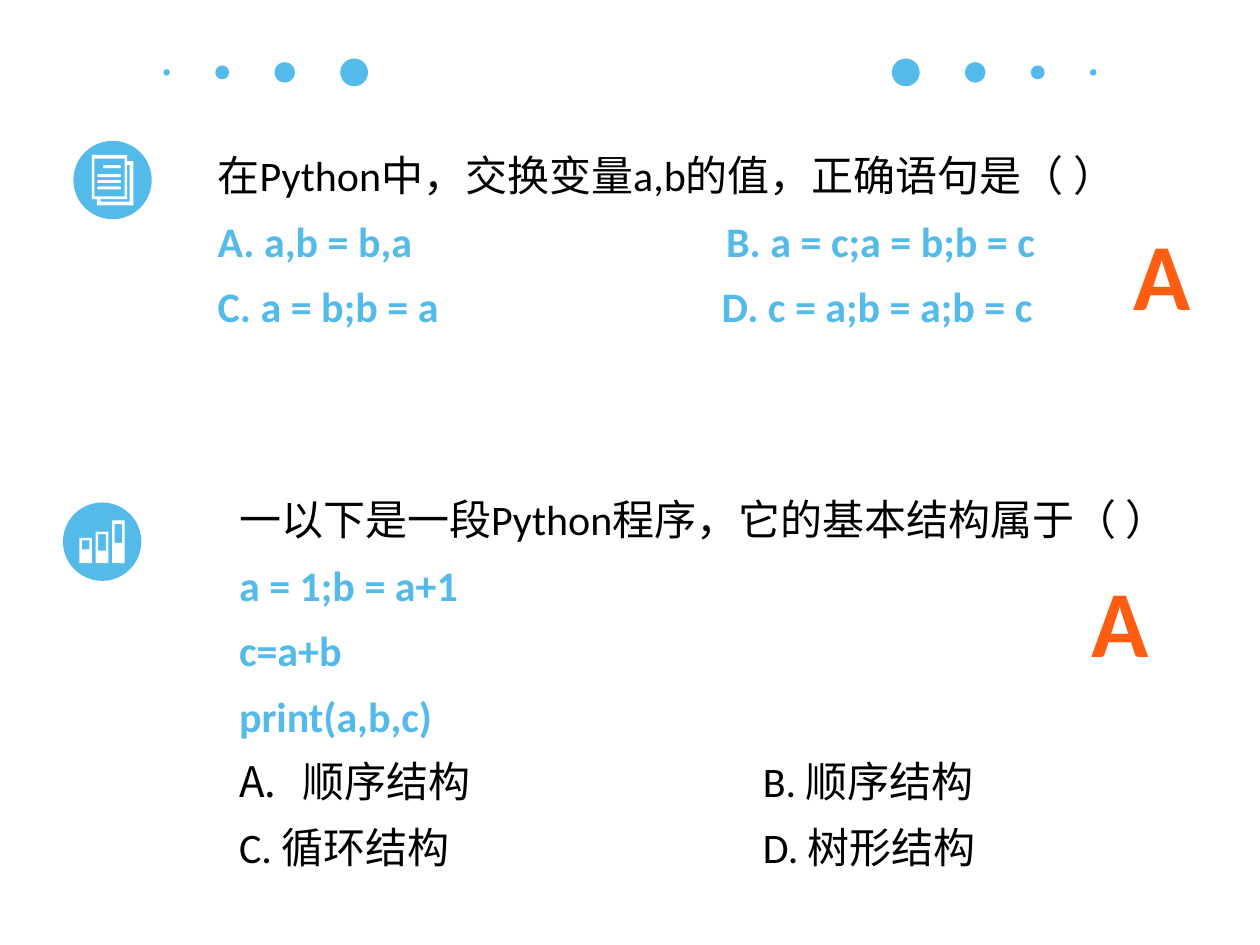
from pptx import Presentation
from pptx import util as u
from pptx.dml.color import RGBColor
from pptx.enum import shapes, text
from pptx.oxml.ns import qn
from lxml import etree

BLUE = RGBColor(0x53, 0xBA, 0xE9)
WHITE = RGBColor(0xFF, 0xFF, 0xFF)
BLACK = RGBColor(0, 0, 0)
ORANGE = RGBColor(0xFF, 0x5D, 0x12)

deck = Presentation()
deck.slide_width = u.Cm(25.4)
deck.slide_height = u.Cm(19.05)
page = deck.slides.add_slide(deck.slide_layouts[6])


def paint(shape, color):
    shape.shadow.inherit = False
    shape.fill.solid()
    shape.fill.fore_color.rgb = color
    shape.line.fill.background()


def add_box(left, top, width, height):
    box = page.shapes.add_textbox(u.Cm(left), u.Cm(top), u.Cm(width), u.Cm(height))
    box.text_frame.word_wrap = True
    return box.text_frame


circles = [(2.06, 10.92, 1.58), (2.27, 3.63, 1.58)]
for offset, diameter in ((5.56, 0.56), (6.96, 0.41), (8.22, 0.28), (9.34, 0.13)):
    circles += [(12.7 + side * offset, 1.46, diameter) for side in (-1, 1)]
for center_x, center_y, diameter in circles:
    circle = page.shapes.add_shape(
        shapes.MSO_SHAPE.OVAL, u.Cm(center_x - diameter / 2), u.Cm(center_y - diameter / 2),
        u.Cm(diameter), u.Cm(diameter))
    paint(circle, BLUE)

icon_outlines = [
    [[(73, 123), (101, 123), (101, 128), (106, 128), (106, 163), (77, 163), (77, 158), (73, 158)],
     [(75, 126), (75, 156), (99, 156), (99, 126)],
     [(101, 131), (101, 158), (80, 158), (80, 160), (103, 160), (103, 131)]]]
for left, top, hole_top, hole_bottom in ((63, 427, 429, 436), (76, 422, 424, 437), (89, 413, 416, 431)):
    icon_outlines.append([
        [(left, top), (left + 10, top), (left + 10, 447), (left, 447)],
        [(left + 2, hole_top), (left + 2, hole_bottom), (left + 8, hole_bottom), (left + 8, hole_top)]])
for contours in icon_outlines:
    builder = page.shapes.build_freeform(*contours[0][0], scale=u.Cm(0.0254))
    builder.add_line_segments(contours[0][1:], close=True)
    for hole in contours[1:]:
        builder.move_to(*hole[0])
        builder.add_line_segments(hole[1:], close=True)
    paint(builder.convert_to_shape(), WHITE)

for left, top, width in ((2.08, 3.33, 0.36), (1.96, 3.51, 0.48), (1.96, 3.63, 0.48), (1.96, 3.76, 0.48)):
    bar = page.shapes.add_shape(
        shapes.MSO_SHAPE.ROUNDED_RECTANGLE, u.Cm(left), u.Cm(top), u.Cm(width), u.Cm(0.06))
    bar.adjustments[0] = 0.5
    paint(bar, WHITE)

questions = [
    (4.14, 2.59, 18.97, 4.27, [
        ("在Python中，交换变量a,b的值，正确语句是（ ）", BLACK, None, False),
        ("A. a,b = b,a\tB. a = c;a = b;b = c", BLUE, 10.25, False),
        ("C. a = b;b = a\tD. c = a;b = a;b = c", BLUE, 10.16, False)]),
    (4.57, 9.53, 19.4, 8.26, [
        ("一以下是一段Python程序，它的基本结构属于（ ）", BLACK, None, False),
        ("a = 1;b = a+1", BLUE, None, False),
        ("c=a+b", BLUE, None, False),
        ("print(a,b,c)", BLUE, None, False),
        ("顺序结构\tB. 顺序结构", BLACK, 10.56, True),
        ("C. 循环结构\tD. 树形结构", BLACK, 10.56, False)]),
]
for left, top, width, height, lines in questions:
    frame = add_box(left, top, width, height)
    for index, (line, color, tab, numbered) in enumerate(lines):
        para = frame.paragraphs[0] if index == 0 else frame.add_paragraph()
        para.text = line
        para.line_spacing = 1.3
        properties = para._p.get_or_add_pPr()
        if numbered:
            properties.set("marL", str(u.Cm(1.27)))
            properties.set("indent", str(u.Cm(-1.27)))
            etree.SubElement(properties, qn("a:buFont"), typeface="+mj-lt")
            etree.SubElement(properties, qn("a:buAutoNum"), type="alphaUcPeriod")
        if tab:
            stops = etree.SubElement(properties, qn("a:tabLst"))
            etree.SubElement(stops, qn("a:tab"), pos=str(u.Cm(tab)), algn="l")
        para.font.name = "Calibri"
        para.font.size = u.Pt(24)
        para.font.bold = color == BLUE
        para.font.color.rgb = color

for left, top in ((22.56, 4.24), (21.72, 11.23)):
    para = add_box(left, top, 1.73, 2.57).paragraphs[0]
    para.text = "A"
    para.alignment = text.PP_ALIGN.CENTER
    para.font.name = "Calibri"
    para.font.size = u.Pt(54)
    para.font.bold = True
    para.font.color.rgb = ORANGE

deck.save("out.pptx")
